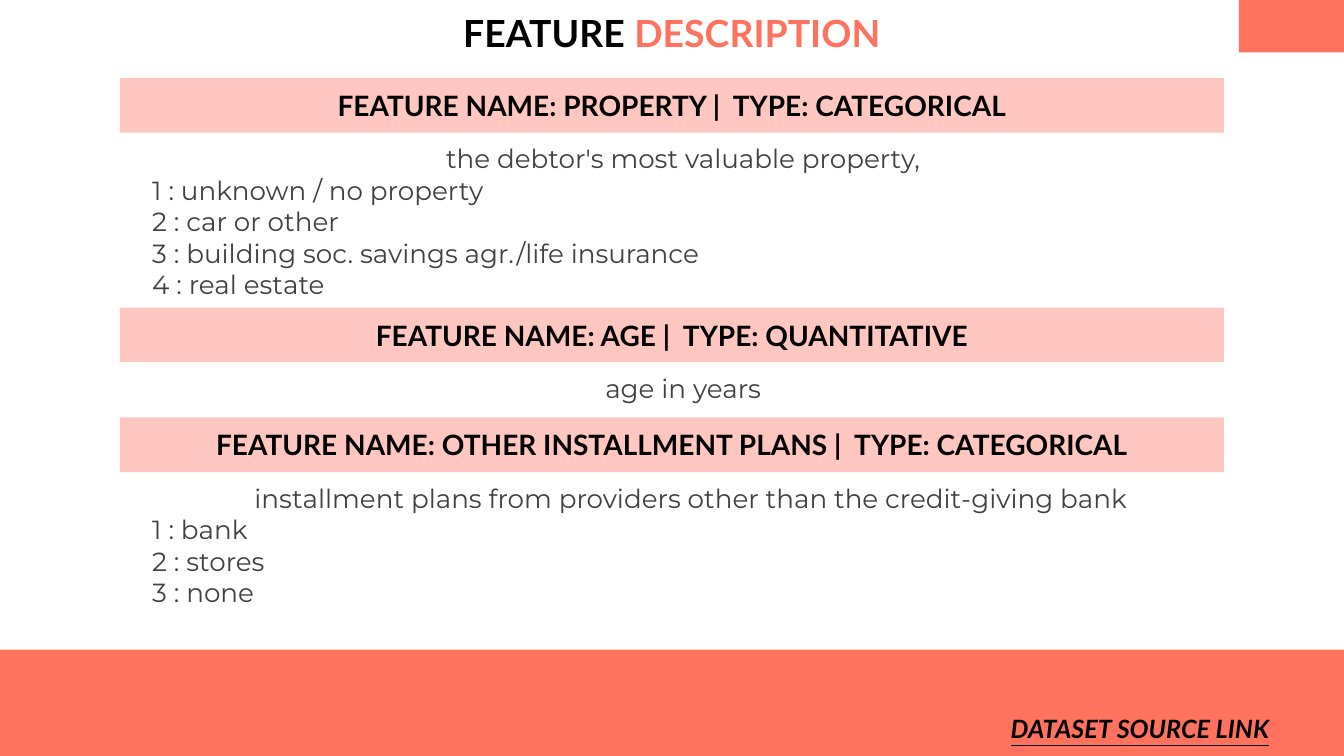
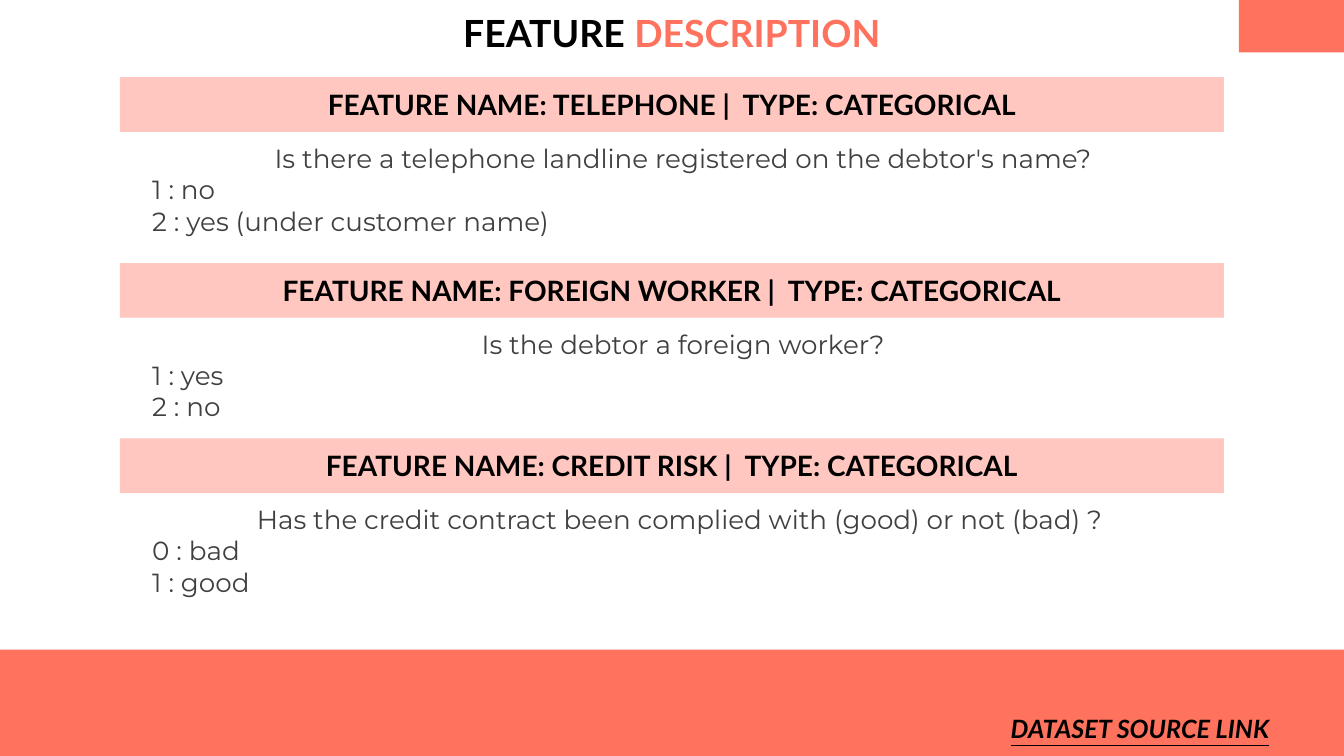
"""Build two slides describing the features of a credit dataset."""
from dataclasses import dataclass

import pptx
import pptx.dml.color
import pptx.enum.shapes
import pptx.enum.text
import pptx.util

Pt = pptx.util.Pt
RGB = pptx.dml.color.RGBColor.from_string
ALIGN = pptx.enum.text.PP_ALIGN
ANCHOR = pptx.enum.text.MSO_ANCHOR


@dataclass(frozen=True)
class Theme:
    coral: str = "FF725E"
    pale: str = "FFC7BF"
    black: str = "000000"
    grey: str = "404040"
    head_font: str = "Lato"
    body_font: str = "Montserrat"
    title_size: float = 26.7
    band_size: float = 20
    body_size: float = 18.7
    link_size: float = 18


theme = Theme()
W, H = 960, 540
BAND_LEFT, BAND_W, BAND_H = 85.7, 788.6, 39
INSET, INDENT = 7.2, 16

# Each feature: band top, name, type, lead line, lead indent, values
SLIDES = [
    [
        (55.7, "PROPERTY", "CATEGORICAL", "the debtor's most valuable property,", INDENT,
         ["1 : unknown / no property", "2 : car or other",
          "3 : building soc. savings agr./life insurance", "4 : real estate"]),
        (219.8, "AGE", "QUANTITATIVE", "age in years", INDENT, []),
        (298.2, "OTHER INSTALLMENT PLANS", "CATEGORICAL",
         "installment plans from providers other than the credit-giving bank", 27,
         ["1 : bank", "2 : stores", "3 : none"]),
    ],
    [
        (55.2, "TELEPHONE", "CATEGORICAL",
         "Is there a telephone landline registered on the debtor's name?", INDENT,
         ["1 : no", "2 : yes (under customer name)"]),
        (188, "FOREIGN WORKER", "CATEGORICAL", "Is the debtor a foreign worker?", INDENT,
         ["1 : yes", "2 : no"]),
        (313.2, "CREDIT RISK", "CATEGORICAL",
         "Has the credit contract been complied with (good) or not (bad) ?", 11,
         ["0 : bad", "1 : good"]),
    ],
]


def add_rect(s, left, top, width, height, color):
    sp = s.shapes.add_shape(pptx.enum.shapes.MSO_SHAPE.RECTANGLE,
                            Pt(left), Pt(top), Pt(width), Pt(height))
    sp.shadow.inherit = False
    sp.fill.solid()
    sp.fill.fore_color.rgb = RGB(color)
    sp.line.fill.background()
    return sp


def style(p, font, size, color, align, bold=False):
    p.alignment = align
    p.font.name = font
    p.font.size = Pt(size)
    p.font.bold = bold
    p.font.color.rgb = RGB(color)


prs = pptx.Presentation()
prs.slide_width, prs.slide_height = Pt(W), Pt(H)

for features in SLIDES:
    s = prs.slides.add_slide(prs.slide_layouts[5])
    add_rect(s, 0, 464, W, 76, theme.coral)
    add_rect(s, 885, 0, 75, 37.4, theme.coral)

    title = s.shapes.title
    title.left, title.top, title.width, title.height = Pt(62.6), Pt(0), Pt(834.8), Pt(47)
    tf = title.text_frame
    tf.auto_size = pptx.enum.text.MSO_AUTO_SIZE.NONE
    tf.vertical_anchor = ANCHOR.MIDDLE
    p = tf.paragraphs[0]
    style(p, theme.head_font, theme.title_size, theme.black, ALIGN.CENTER, True)
    for text, color in (("FEATURE ", theme.black), ("DESCRIPTION", theme.coral)):
        r = p.add_run()
        r.text = text
        r.font.color.rgb = RGB(color)

    for top, name, kind, lead, lead_indent, values in features:
        band = add_rect(s, BAND_LEFT, top, BAND_W, BAND_H, theme.pale)
        band.text_frame.vertical_anchor = ANCHOR.MIDDLE
        p = band.text_frame.paragraphs[0]
        p.text = f"FEATURE NAME: {name} |  TYPE: {kind}"
        style(p, theme.head_font, theme.band_size, theme.black, ALIGN.CENTER, True)

        lines = [lead, *values]
        box = s.shapes.add_textbox(Pt(BAND_LEFT), Pt(top + BAND_H), Pt(BAND_W),
                                   Pt(2 * INSET + 22.8 * len(lines)))
        tf = box.text_frame
        tf.word_wrap = True
        tf.margin_left = tf.margin_right = tf.margin_top = tf.margin_bottom = Pt(INSET)
        tf.text = "\n".join(lines)
        for i, p in enumerate(tf.paragraphs):
            style(p, theme.body_font, theme.body_size, theme.grey,
                  ALIGN.LEFT if i else ALIGN.CENTER)
            indent = INDENT if i else lead_indent
            p._p.get_or_add_pPr().set("marL", str(Pt(indent)))

    link = s.shapes.add_textbox(Pt(668.6), Pt(501.1), Pt(291.4), Pt(38.9))
    tf = link.text_frame
    tf.word_wrap = True
    tf.vertical_anchor = ANCHOR.MIDDLE
    p = tf.paragraphs[0]
    p.text = "DATASET SOURCE LINK"
    style(p, theme.head_font, theme.link_size, theme.black, ALIGN.CENTER, True)
    p.font.italic = p.font.underline = True

prs.save("out.pptx")
